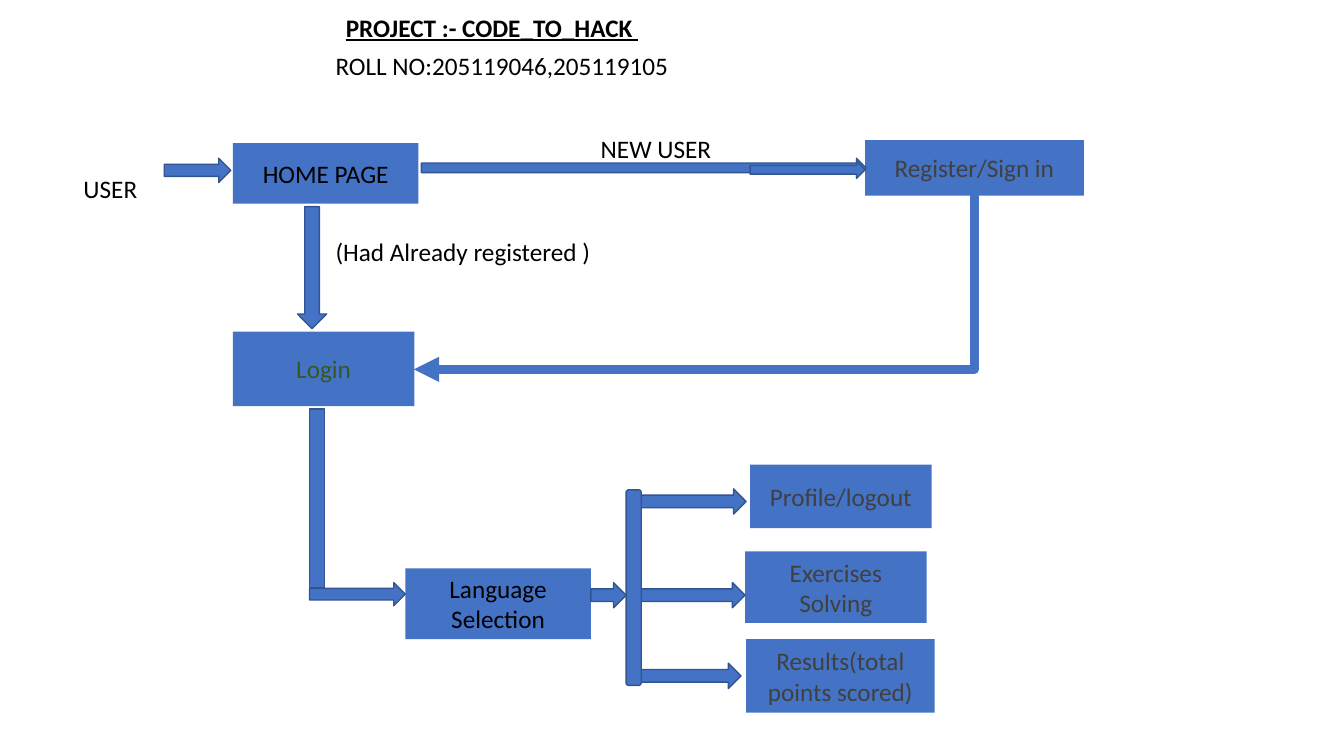
from pptx import Presentation
from pptx.dml.color import RGBColor
from pptx.enum.shapes import MSO_CONNECTOR, MSO_SHAPE as SHAPE
from pptx.enum.text import MSO_ANCHOR as ANCHOR, MSO_AUTO_SIZE as FIT, PP_ALIGN as ALIGN
from pptx.oxml.ns import qn
from pptx.util import Pt
from lxml import etree

PX = 9144  # EMU per px, 100 px to the inch
THEME = {
    "font": "Calibri", "size": Pt(18), "outline_width": Pt(1), "route_width": Pt(6),
    "blue": RGBColor.from_string("4472C4"), "outline": RGBColor.from_string("325491"),
    "black": RGBColor.from_string("000000"), "gray": RGBColor.from_string("404040"),
    "green": RGBColor.from_string("385723"),
}


def write(s, text, color="black", align=ALIGN.LEFT, anchor=ANCHOR.TOP, wrap=True, **font):
    tf = s.text_frame
    tf.word_wrap, tf.vertical_anchor = wrap, anchor
    p = tf.paragraphs[0]
    p.alignment = align
    r = p.add_run()
    r.text = text
    r.font.color.rgb = THEME[color]
    for name, value in {"name": THEME["font"], "size": THEME["size"], **font}.items():
        setattr(r.font, name, value)


def add_block(kind, box, outlined=True):
    s = slide.shapes.add_shape(kind, *(v * PX for v in box))
    s.shadow.inherit = False
    s.fill.solid()
    s.fill.fore_color.rgb = THEME["blue"]
    if outlined:
        s.line.color.rgb = THEME["outline"]
        s.line.width = THEME["outline_width"]
    else:
        s.line.fill.background()
    return s


prs = Presentation()
prs.slide_width, prs.slide_height = 1333 * PX, 750 * PX
slide = prs.slides.add_slide(prs.slide_layouts[5])

# Title
title = slide.shapes.title
title.left, title.top, title.width, title.height = (v * PX for v in (333, 7, 667, 40))
title.text_frame.auto_size = FIT.NONE
write(title, "PROJECT :- CODE_TO_HACK ", bold=True, underline=True)

# Stem from the login page down to the language selection
add_block(SHAPE.RECTANGLE, (307, 406, 15, 177))

# Pages
pages = [
    ("HOME PAGE", (231, 142, 184, 60), "black"),
    ("Login", (231, 329, 180, 74), "green"),
    ("Register/Sign in", (858, 139, 217, 55), "gray"),
    ("Language Selection", (402, 564, 184, 70), "black"),
    ("Profile/logout", (744, 461, 180, 63), "gray"),
    ("Exercises Solving", (739, 547, 180, 71), "gray"),
    ("Results(total points scored)", (740, 634, 187, 73), "gray"),
]
for text, box, color in pages:
    s = add_block(SHAPE.RECTANGLE, box, outlined=False)
    write(s, text, color, ALIGN.CENTER, ANCHOR.MIDDLE)

# Block arrows between pages
right_arrows = [
    (163, 157, 66, 24), (418, 157, 441, 19), (744, 160, 114, 17),
    (307, 578, 95, 23), (632, 485, 108, 25), (636, 578, 103, 25),
    (632, 658, 103, 25), (586, 578, 35, 25),
]
for box in right_arrows:
    add_block(SHAPE.RIGHT_ARROW, box)
add_block(SHAPE.DOWN_ARROW, (295, 205, 29, 121))

# Bar that splits the language selection into three pages
add_block(SHAPE.ROUNDED_RECTANGLE, (621, 486, 15, 194))

# Bent route from registration back to login: a one-corner elbow turned by 90 degrees
route = slide.shapes.add_connector(
    MSO_CONNECTOR.ELBOW, *(v * PX for v in (602, 2, 775, 558)))
route.line.color.rgb = THEME["blue"]
route.line.width = THEME["route_width"]
spPr = route._element.spPr
spPr.find(qn("a:xfrm")).set("rot", "5400000")
spPr.find(qn("a:prstGeom")).set("prst", "bentConnector2")
etree.SubElement(spPr.find(qn("a:ln")), qn("a:tailEnd")).set("type", "triangle")
etree.SubElement(spPr, qn("a:effectLst"))

# Labels
labels = [
    ("USER", (73, 167, 144, 40), True),
    ("(Had Already registered )", (323, 230, 276, 40), False),
    ("NEW USER", (586, 127, 131, 40), True),
    ("ROLL NO:205119046,205119105", (323, 45, 667, 41), True),
]
for text, box, wrap in labels:
    tb = slide.shapes.add_textbox(*(v * PX for v in box))
    tb.text_frame.auto_size = FIT.SHAPE_TO_FIT_TEXT
    write(tb, text, wrap=wrap)

prs.save("out.pptx")
